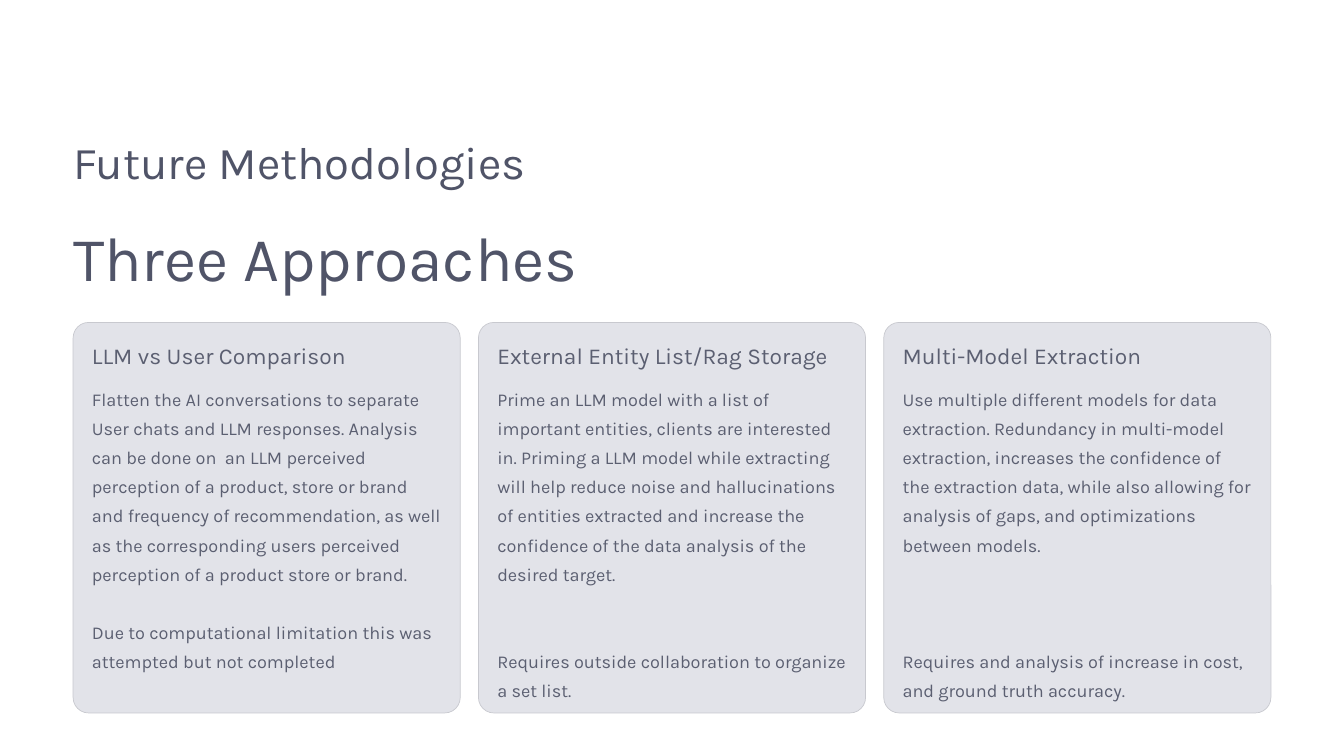
from dataclasses import dataclass

from pptx import Presentation
from pptx.dml.color import RGBColor
from pptx.enum.shapes import MSO_SHAPE
from pptx.enum.text import MSO_ANCHOR, MSO_AUTO_SIZE, PP_ALIGN
from pptx.util import Cm, Pt

ROUNDED = MSO_SHAPE.ROUNDED_RECTANGLE
TOP = MSO_ANCHOR.TOP
LEFT = PP_ALIGN.LEFT
NO_AUTOFIT = MSO_AUTO_SIZE.NONE

TITLE = "Future Methodologies"
HEADLINE = "Three Approaches"
# heading, description, blank lines before the caveat, caveat
APPROACHES = [
    ("LLM vs User Comparison",
     "Flatten the AI conversations to separate User chats and LLM responses. "
     "Analysis can be done on  an LLM perceived perception of a product, store or brand "
     "and frequency of recommendation, as well as the corresponding users perceived "
     "perception of a product store or brand.",
     1, "Due to computational limitation this was attempted but not completed"),
    ("External Entity List/Rag Storage",
     "Prime an LLM model with a list of important entities, clients are interested in. "
     "Priming a LLM model while extracting will help reduce noise and hallucinations "
     "of entities extracted and increase the confidence of the data analysis of the "
     "desired target.",
     2, "Requires outside collaboration to organize a set list."),
    ("Multi-Model Extraction",
     "Use multiple different models for data extraction. Redundancy in multi-model "
     "extraction, increases the confidence of the extraction data, while also allowing "
     "for analysis of gaps, and optimizations between models.",
     3, "Requires and analysis of increase in cost, and ground truth accuracy."),
]


@dataclass(frozen=True)
class TextStyle:
    size: float
    leading: float
    color: RGBColor


@dataclass(frozen=True)
class Theme:
    font = "Karla"
    background = RGBColor(0xFF, 0xFF, 0xFF)
    card_fill = RGBColor(0xE2, 0xE3, 0xE9)
    card_line = RGBColor(0xC8, 0xC9, 0xCF)
    dark = RGBColor(0x50, 0x54, 0x68)
    soft = RGBColor(0x5B, 0x5F, 0x71)
    title = TextStyle(39, 48.5, dark)
    headline = TextStyle(53.5, 67, dark)
    heading = TextStyle(19.5, 24, soft)
    body = TextStyle(15.5, 25, soft)


THEME = Theme()
SLIDE_WIDTH, SLIDE_HEIGHT = Cm(40.64), Cm(22.86)
MARGIN = Cm(2.21)
CONTENT_WIDTH = SLIDE_WIDTH - 2 * MARGIN
CARD_TOP, CARD_HEIGHT = Cm(9.75), Cm(11.81)
CARD_GAP = Cm(0.55)
CARD_WIDTH = (CONTENT_WIDTH - (len(APPROACHES) - 1) * CARD_GAP) // len(APPROACHES)
CARD_PADDING = Cm(0.57)
BODY_OFFSET = Cm(1.76)


def place(box, left, top, width, height):
    box.left, box.top, box.width, box.height = left, top, width, height


def write(box, style, *paragraphs):
    """Fill a box with (text, blank lines before) pairs in one style."""
    frame = box.text_frame
    frame.word_wrap = True
    frame.auto_size = NO_AUTOFIT
    frame.vertical_anchor = TOP
    frame.margin_left = frame.margin_right = frame.margin_top = frame.margin_bottom = 0
    for index, (text, blank_lines) in enumerate(paragraphs):
        paragraph = frame.add_paragraph() if index else frame.paragraphs[0]
        paragraph.text = text
        paragraph.alignment = LEFT
        paragraph.line_spacing = Pt(style.leading)
        paragraph.space_before = Pt(blank_lines * style.leading)
        paragraph.font.name = THEME.font
        paragraph.font.size = Pt(style.size)
        paragraph.font.color.rgb = style.color


def add_card(shapes, left, heading, description, blank_lines, caveat):
    card = shapes.add_shape(ROUNDED, left, CARD_TOP, CARD_WIDTH, CARD_HEIGHT)
    card.adjustments[0] = 0.04
    card.shadow.inherit = False
    card.fill.solid()
    card.fill.fore_color.rgb = THEME.card_fill
    card.line.color.rgb = THEME.card_line
    card.line.width = Pt(0.6)

    text_left = left + CARD_PADDING
    text_width = CARD_WIDTH - 2 * CARD_PADDING
    heading_box = shapes.add_textbox(
        text_left, CARD_TOP + CARD_PADDING, text_width, BODY_OFFSET - CARD_PADDING)
    write(heading_box, THEME.heading, (heading, 0))
    body_box = shapes.add_textbox(
        text_left, CARD_TOP + BODY_OFFSET, text_width, CARD_HEIGHT - BODY_OFFSET)
    write(body_box, THEME.body, (description, 0), (caveat, blank_lines))


def main():
    deck = Presentation()
    deck.slide_width, deck.slide_height = SLIDE_WIDTH, SLIDE_HEIGHT
    slide = deck.slides.add_slide(deck.slide_layouts.get_by_name("Title Only"))
    slide.background.fill.solid()
    slide.background.fill.fore_color.rgb = THEME.background
    shapes = slide.shapes

    place(shapes.title, MARGIN, Cm(3.99), CONTENT_WIDTH, Cm(1.73))
    write(shapes.title, THEME.title, (TITLE, 0))
    headline_box = shapes.add_textbox(MARGIN, Cm(6.53), CONTENT_WIDTH, Cm(2.39))
    write(headline_box, THEME.headline, (HEADLINE, 0))

    for column, approach in enumerate(APPROACHES):
        add_card(shapes, MARGIN + column * (CARD_WIDTH + CARD_GAP), *approach)

    deck.save("out.pptx")


if __name__ == "__main__":
    main()
